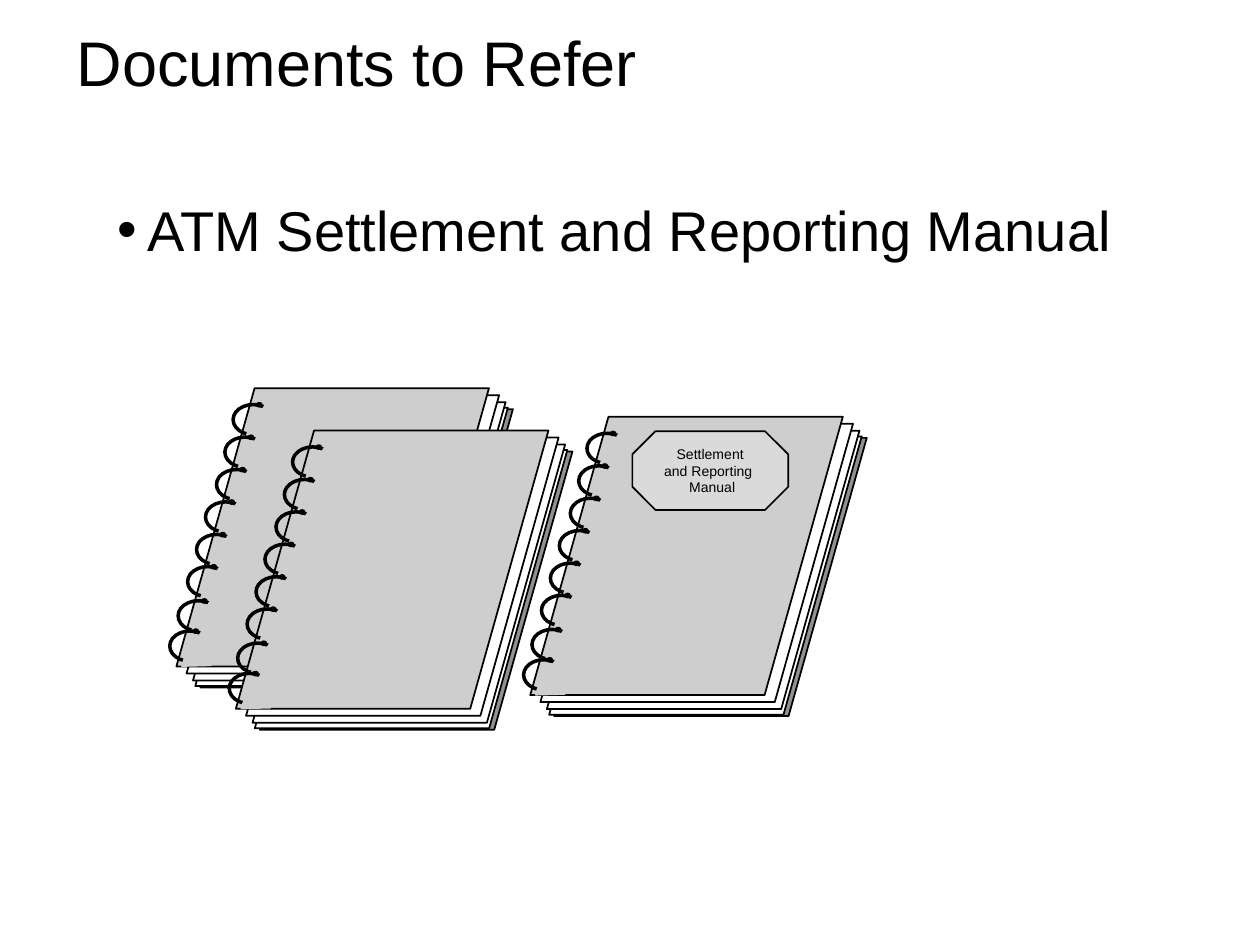
from dataclasses import dataclass

from lxml import etree
from pptx import Presentation
from pptx.dml.color import RGBColor
from pptx.enum.shapes import MSO_SHAPE
from pptx.enum.text import MSO_ANCHOR, MSO_AUTO_SIZE, PP_ALIGN
from pptx.oxml.ns import qn
from pptx.shapes.autoshape import Shape
from pptx.shapes.group import GroupShape
from pptx.slide import Slide
from pptx.text.text import _Paragraph as Paragraph
from pptx.util import Pt

PARALLELOGRAM = MSO_SHAPE.PARALLELOGRAM
ELLIPSE = MSO_SHAPE.OVAL
OCTAGON = MSO_SHAPE.OCTAGON
MIDDLE = MSO_ANCHOR.MIDDLE
NO_AUTOFIT = MSO_AUTO_SIZE.NONE
LEFT = PP_ALIGN.LEFT
CENTER = PP_ALIGN.CENTER

FONT = "Arial"
COLORS = {
    "black": "000000",
    "white": "FFFFFF",
    "cover": "CECECE",
    "back": "919191",
    "label": "DADADA",
}


@dataclass(frozen=True)
class Book:
    """Left and top of the front cover."""
    left: float
    top: float


@dataclass(frozen=True)
class Sheet:
    """Offset of a sheet from the front cover, and its colour."""
    dx: float
    dy: float
    color: str


BOOKS = [Book(100.8, 221.8), Book(134.8, 246.0), Book(303.0, 238.2)]
SHEET_SIZE = (178.6, 159.0)
SHEETS = [
    Sheet(13.7, 12.0, "back"),
    Sheet(10.8, 11.2, "white"),
    Sheet(9.5, 8.0, "white"),
    Sheet(5.8, 4.0, "white"),
    Sheet(0, 0, "cover"),
]
RING_SIZE = (23.0, 17.3)
RING_OFFSETS = [
    (32.4, 9.4), (27.7, 28), (22.9, 46.5), (16.6, 65),
    (11.5, 83.6), (6.4, 102), (1, 121.5), (-3.8, 138.8),
]
HOLE_OFFSET = (13.5, -1.0)
HOLE_SIZE = (2.9, 2.2)
# The patch hides the part of a ring that lies behind the cover
PATCH = [
    (19.4, -1.2), (16, 4.2), (9.8, 13), (8.4, 15.9),
    (7, 20), (23.5, 19.6), (27.4, 7.1),
]


def rgb(name: str) -> RGBColor:
    return RGBColor.from_string(COLORS[name])


def style(shape: Shape, fill: str | None, line: str, width: float) -> None:
    shape.shadow.inherit = False
    if fill is None:
        shape.fill.background()
    else:
        shape.fill.solid()
        shape.fill.fore_color.rgb = rgb(fill)
    shape.line.color.rgb = rgb(line)
    shape.line.width = Pt(width)


def draw_shape(parent: Slide | GroupShape, kind: MSO_SHAPE, left: float, top: float,
               size: tuple[float, float], fill: str | None, width: float = 1) -> Shape:
    shape = parent.shapes.add_shape(kind, Pt(left), Pt(top), Pt(size[0]), Pt(size[1]))
    style(shape, fill, "black", width)
    return shape


def add_run(paragraph: Paragraph, text: str, size: float) -> None:
    run = paragraph.add_run()
    run.text = text
    run.font.name = FONT
    run.font.size = Pt(size)
    run.font.color.rgb = rgb("black")


def draw_ring(group: GroupShape, left: float, top: float) -> None:
    draw_shape(group, ELLIPSE, left, top, RING_SIZE, None, 2)
    draw_shape(group, ELLIPSE, left + HOLE_OFFSET[0], top + HOLE_OFFSET[1],
               HOLE_SIZE, "black")
    points = [(Pt(left + x), Pt(top + y)) for x, y in PATCH]
    builder = group.shapes.build_freeform(*points[0])
    builder.add_line_segments(points[1:], close=True)
    style(builder.convert_to_shape(), "cover", "cover", 1)


def draw_book(slide: Slide, book: Book) -> None:
    group = slide.shapes.add_group_shape()
    for sheet in SHEETS:
        shape = draw_shape(group, PARALLELOGRAM, book.left + sheet.dx,
                           book.top + sheet.dy, SHEET_SIZE, sheet.color)
        shape.adjustments[0] = 0.281
    for dx, dy in RING_OFFSETS:
        draw_ring(group, book.left + dx, book.top + dy)


def draw_title(slide: Slide) -> None:
    title = slide.shapes.title
    title.left, title.top, title.width, title.height = Pt(36.7), Pt(-2), Pt(646.6), Pt(74)
    frame = title.text_frame
    frame.auto_size = NO_AUTOFIT
    frame.vertical_anchor = MIDDLE
    paragraph = frame.paragraphs[0]
    paragraph.alignment = LEFT
    add_run(paragraph, "Documents to Refer", 36)


def draw_bullet(slide: Slide) -> None:
    box = slide.shapes.add_textbox(Pt(60), Pt(108), Pt(636), Pt(144))
    box.text_frame.word_wrap = True
    paragraph = box.text_frame.paragraphs[0]
    properties = paragraph._p.get_or_add_pPr()
    properties.set("marL", str(Pt(17)))
    properties.set("indent", str(-Pt(17)))
    bullet_color = etree.SubElement(properties, qn("a:buClr"))
    etree.SubElement(bullet_color, qn("a:srgbClr"), val=COLORS["black"])
    etree.SubElement(properties, qn("a:buFont"), typeface=FONT)
    etree.SubElement(properties, qn("a:buChar"), char="•")
    add_run(paragraph, "ATM Settlement and Reporting Manual", 32)


def draw_label(slide: Slide) -> None:
    label = draw_shape(slide, OCTAGON, 361.4, 246.5, (89, 44.9), "label")
    label.adjustments[0] = 0.293
    frame = label.text_frame
    frame.word_wrap = False
    frame.vertical_anchor = MIDDLE
    for index, text in enumerate(["Settlement", "and Reporting ", " Manual"]):
        paragraph = frame.add_paragraph() if index else frame.paragraphs[0]
        paragraph.alignment = CENTER
        add_run(paragraph, text, 8)


def main() -> None:
    presentation = Presentation()
    presentation.slide_width = Pt(720)
    presentation.slide_height = Pt(540)
    slide = presentation.slides.add_slide(presentation.slide_layouts[5])

    # Title and bullet
    draw_title(slide)
    draw_bullet(slide)

    # Spiral-bound manuals, the last one labelled
    for book in BOOKS:
        draw_book(slide, book)
    draw_label(slide)

    presentation.save("out.pptx")


if __name__ == "__main__":
    main()
